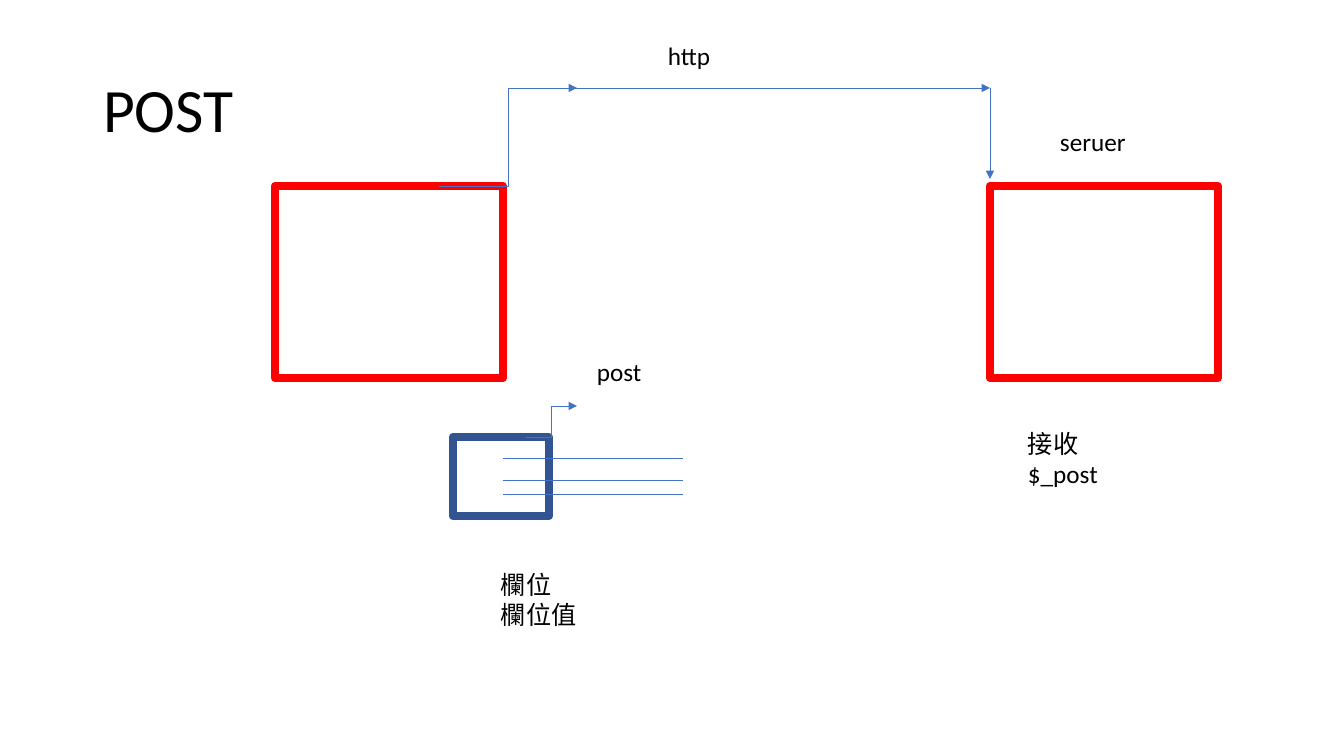
from lxml import etree
from pptx import Presentation
from pptx.dml.color import RGBColor
from pptx.enum.shapes import MSO_CONNECTOR, MSO_SHAPE
from pptx.enum.text import MSO_ANCHOR, MSO_AUTO_SIZE, PP_ALIGN
from pptx.oxml.ns import qn
from pptx.util import Emu, Pt

STRAIGHT, ELBOW = MSO_CONNECTOR.STRAIGHT, MSO_CONNECTOR.ELBOW
RECTANGLE = MSO_SHAPE.RECTANGLE
MIDDLE = MSO_ANCHOR.MIDDLE
FIT_SHAPE, NO_FIT = MSO_AUTO_SIZE.SHAPE_TO_FIT_TEXT, MSO_AUTO_SIZE.NONE
LEFT = PP_ALIGN.LEFT
RED, NAVY, BLUE, BLACK = "FF0000", "325491", "4472C4", "000000"
SCALE = 914400 / 100.8


def pixels(*lengths):
    return [Emu(round(length * SCALE)) for length in lengths]


def write(frame, lines, size):
    frame.word_wrap = True
    frame.text = "\n".join(lines)
    for para in frame.paragraphs:
        para.alignment = LEFT
        para.font.name = "Calibri"
        para.font.size = Pt(size)
        para.font.color.rgb = RGBColor.from_string(BLACK)


deck = Presentation()
deck.slide_width, deck.slide_height = pixels(1344, 756)
page = deck.slides.add_slide(deck.slide_layouts[5])

title = page.shapes.title
title.left, title.top, title.width, title.height = pixels(93, 40, 1159, 146)
write(title.text_frame, ["POST"], 44)
title.text_frame.auto_size = NO_FIT
title.text_frame.vertical_anchor = MIDDLE
title.text_frame.paragraphs[0].line_spacing = 0.9

boxes = [
    (275, 186, 228, 192, RED),
    (990, 186, 228, 192, RED),
    (453, 437, 96, 79, NAVY),
]
for *bounds, color in boxes:
    box = page.shapes.add_shape(RECTANGLE, *pixels(*bounds))
    box.shadow.inherit = False
    box.fill.background()
    box.line.color.rgb = RGBColor.from_string(color)
    box.line.width = Pt(6)

request_arrows = [
    (ELBOW, 439, 186, 577, 88, True),
    (STRAIGHT, 571, 88, 990, 88, True),
    (STRAIGHT, 990, 88, 990, 179, True),
    (ELBOW, 526, 437, 577, 406, True),
]
field_lines = [(STRAIGHT, 503, y, 683, y, False) for y in (458, 480, 494)]
for kind, *ends, has_arrow in request_arrows + field_lines:
    connector = page.shapes.add_connector(kind, *pixels(*ends))
    connector.line.color.rgb = RGBColor.from_string(BLUE)
    connector.line.width = Pt(0.5)
    if has_arrow:
        outline = connector.line._get_or_add_ln()
        etree.SubElement(outline, qn("a:tailEnd"), type="triangle")
    etree.SubElement(connector._element.spPr, qn("a:effectLst"))

labels = [
    (658, 35, 129, 40, ["http"]),
    (1050, 121, 123, 40, ["seruer"]),
    (1018, 423, 176, 72, ["接收", "$_post"]),
    (491, 564, 179, 72, ["欄位", "欄位值"]),
    (587, 351, 109, 40, ["post"]),
]
for *bounds, lines in labels:
    label = page.shapes.add_textbox(*pixels(*bounds))
    write(label.text_frame, lines, 18)
    label.text_frame.auto_size = FIT_SHAPE

deck.save("out.pptx")
